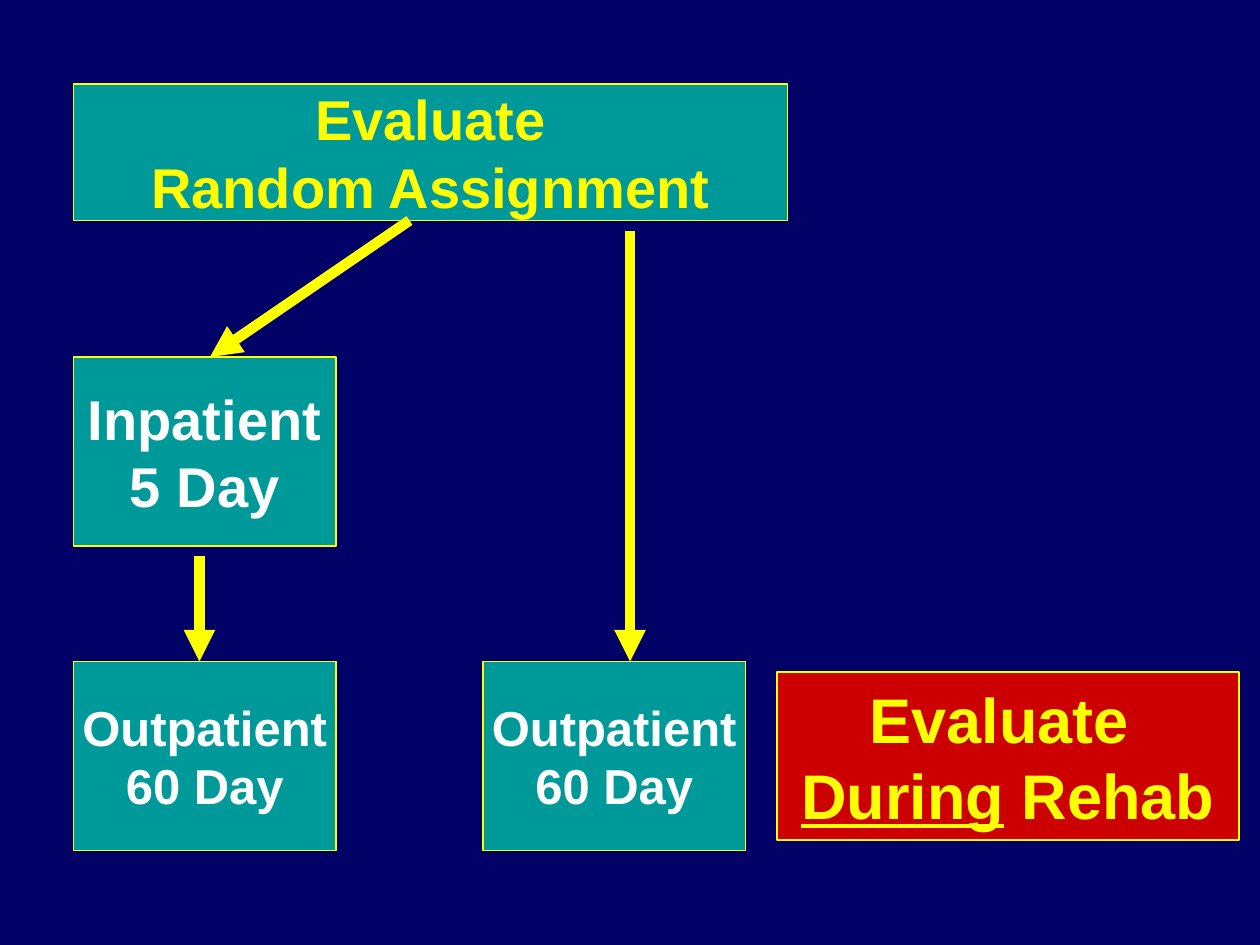
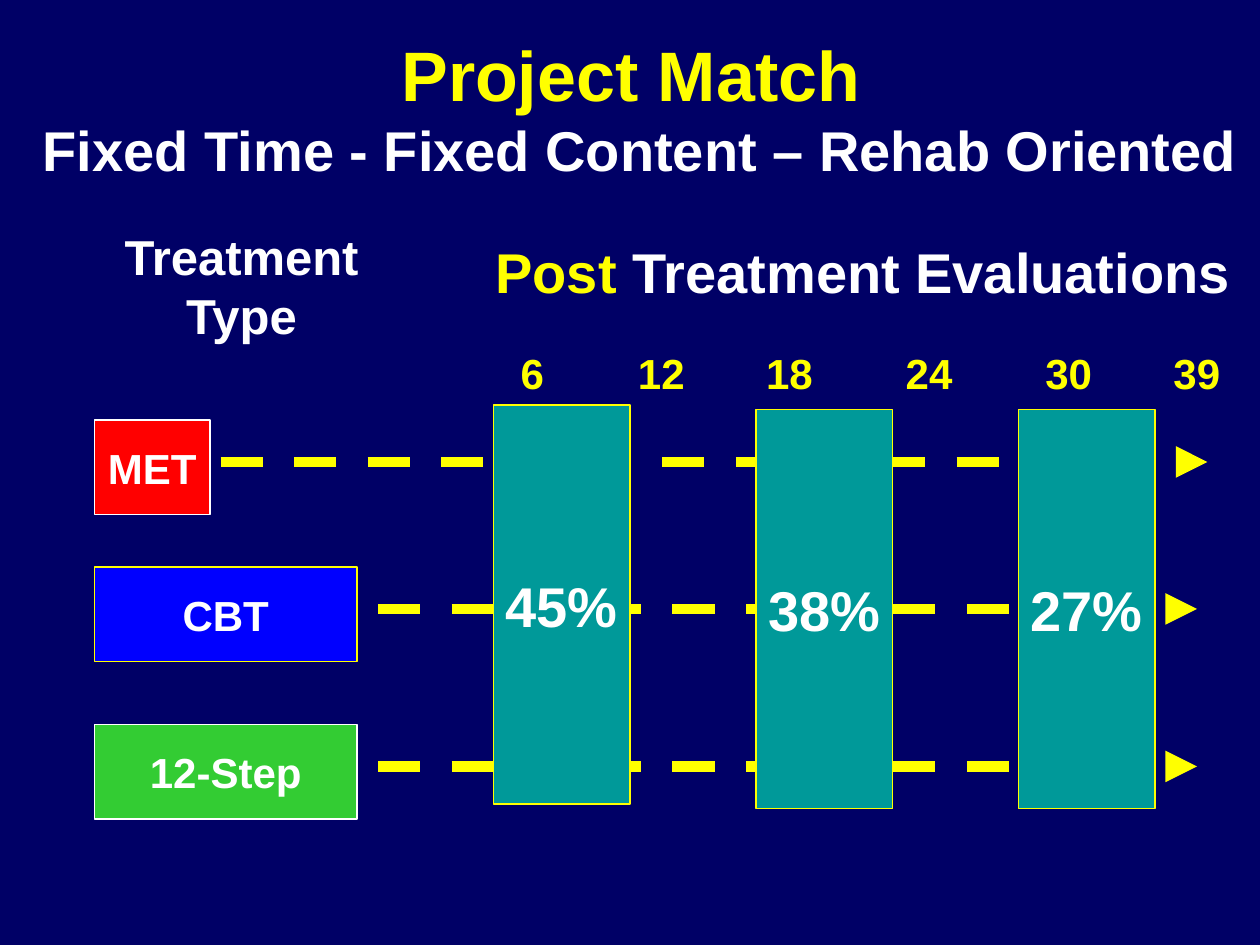
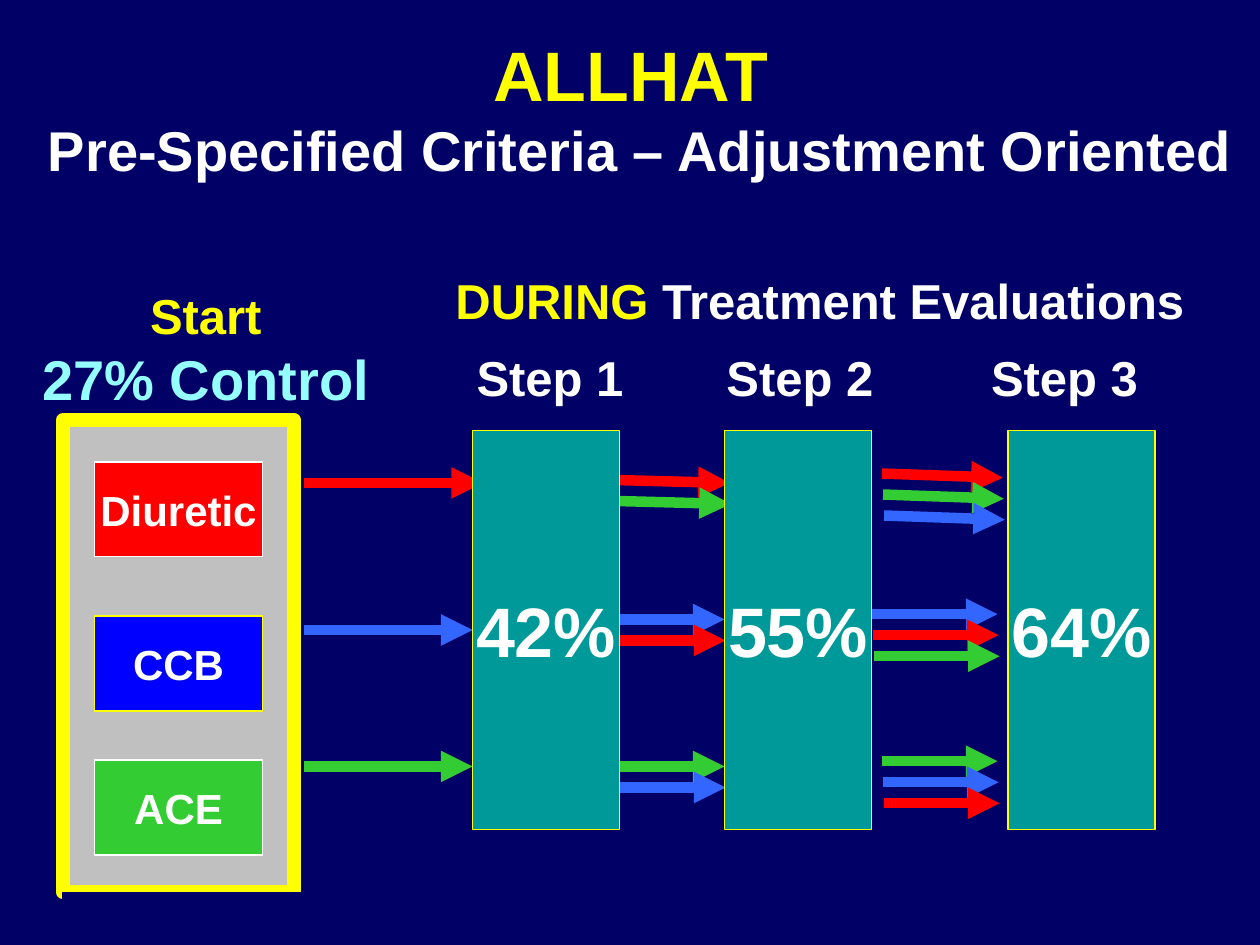
from dataclasses import dataclass

from lxml.etree import SubElement
from pptx import Presentation
from pptx.dml.color import RGBColor
from pptx.enum.dml import MSO_LINE
from pptx.enum.shapes import MSO_CONNECTOR, MSO_SHAPE
from pptx.enum.text import MSO_ANCHOR, MSO_AUTO_SIZE, PP_ALIGN
from pptx.oxml.ns import qn
from pptx.util import Inches, Pt

NAVY = RGBColor(0x00, 0x00, 0x66)
TEAL = RGBColor(0x00, 0x99, 0x99)
YELLOW = RGBColor(0xFF, 0xFF, 0x00)
WHITE = RGBColor(0xFF, 0xFF, 0xFF)
CRIMSON = RGBColor(0xCC, 0x00, 0x00)
RED = RGBColor(0xFF, 0x00, 0x00)
BLUE = RGBColor(0x00, 0x00, 0xFF)
SKY = RGBColor(0x33, 0x66, 0xFF)
GREEN = RGBColor(0x33, 0xCC, 0x33)
SILVER = RGBColor(0xC0, 0xC0, 0xC0)
CYAN = RGBColor(0x95, 0xFF, 0xFF)

FONT = "Arial"
COLS, ROWS = 120, 90  # the slide's grid
WIDTH, HEIGHT = Inches(10), Inches(7.5)
BLANK, TITLE_ONLY = 6, 5


def across(cols):
    return round(WIDTH * cols / COLS)


def down(rows):
    return round(HEIGHT * rows / ROWS)


@dataclass
class Box:
    """An area of the slide, in grid columns and rows."""
    left: float
    top: float
    width: float
    height: float

    def inner(self, left, top, width, height):
        return Box(self.left + left, self.top + top, width, height)

    def emu(self):
        return across(self.left), down(self.top), across(self.width), down(self.height)


@dataclass
class Words:
    text: str
    size: float
    color: RGBColor = WHITE
    underline: bool = False


# Shared parts

def write(frame, lines, align=PP_ALIGN.CENTER, tabs=()):
    for number, line in enumerate(lines):
        paragraph = frame.paragraphs[0] if number == 0 else frame.add_paragraph()
        paragraph.alignment = align
        if tabs:
            stops = SubElement(paragraph._p.get_or_add_pPr(), qn("a:tabLst"))
            for stop in tabs:
                SubElement(stops, qn("a:tab"), pos=str(across(stop)), algn="ctr")
        for words in line:
            run = paragraph.add_run()
            run.text = words.text
            font = run.font
            font.name, font.size, font.bold = FONT, Pt(words.size), True
            font.color.rgb = words.color
            font.underline = words.underline


def block(slide, box, fill, lines=(), border=YELLOW, weight=1):
    rect = slide.shapes.add_shape(MSO_SHAPE.RECTANGLE, *box.emu())
    rect.shadow.inherit = False
    rect.fill.solid()
    rect.fill.fore_color.rgb = fill
    rect.line.color.rgb = border
    rect.line.width = Pt(weight)
    rect.text_frame.word_wrap = False
    rect.text_frame.vertical_anchor = MSO_ANCHOR.MIDDLE
    write(rect.text_frame, lines)


def label(slide, box, lines, align=PP_ALIGN.LEFT, tabs=()):
    frame = slide.shapes.add_textbox(*box.emu()).text_frame
    frame.word_wrap = True
    write(frame, lines, align, tabs)


def arrow(slide, box, start, end, color=YELLOW, dashed=False):
    (x1, y1), (x2, y2) = start, end
    link = slide.shapes.add_connector(
        MSO_CONNECTOR.STRAIGHT,
        across(box.left + x1), down(box.top + y1),
        across(box.left + x2), down(box.top + y2))
    link.line.color.rgb = color
    link.line.width = Pt(6)
    if dashed:
        link.line.dash_style = MSO_LINE.DASH
    SubElement(link.line._get_or_add_ln(), qn("a:tailEnd"), type="triangle")
    SubElement(link._element.spPr, qn("a:effectLst"))


def headed_slide(deck, heading, subheading):
    slide = deck.slides.add_slide(deck.slide_layouts[TITLE_ONLY])
    title = slide.shapes.title
    title.left, title.top, title.width, title.height = Box(2, 2.4, 118, 15.6).emu()
    frame = title.text_frame
    frame.auto_size = MSO_AUTO_SIZE.NONE
    frame.word_wrap = True
    frame.vertical_anchor = MSO_ANCHOR.TOP
    write(frame, [[Words(heading, 40, YELLOW)], [Words(subheading, 32)]])
    return slide


# Slide 1: assignment flow

def assignment_flow(slide, box):
    block(slide, box.inner(0, 0, 68, 13), TEAL,
          [[Words("Evaluate", 32, YELLOW)], [Words("Random Assignment", 32, YELLOW)]])
    stages = [(0, 26, "Inpatient", "5 Day", 32),
              (0, 55, "Outpatient", "60 Day", 28),
              (39, 55, "Outpatient", "60 Day", 28)]
    for left, top, setting, length, size in stages:
        block(slide, box.inner(left, top, 25, 18), TEAL,
              [[Words(setting, size)], [Words(length, size)]])
    for start, end in [((32, 13), (13, 26)), ((53, 14), (53, 55)), ((12, 45), (12, 55))]:
        arrow(slide, box, start, end)


def rehab_evaluation(slide, box):
    block(slide, box, CRIMSON,
          [[Words("Evaluate ", 36, YELLOW)],
           [Words("During", 36, YELLOW, True), Words(" Rehab", 36, YELLOW)]])


# Slide 2: fixed treatments, followed up afterwards

def follow_up_headings(slide, box):
    label(slide, box.inner(0, 0, 34, 12.5), [[Words("Treatment Type", 28)]], PP_ALIGN.CENTER)
    label(slide, box.inner(40, 1, 77, 7.7),
          [[Words("Post", 32, YELLOW), Words(" Treatment Evaluations", 32)]])
    months = ["6", "12", "18", "24", "30", "39"]
    label(slide, box.inner(28, 11.5, 86, 6),
          [[Words("\t" + "\t".join(months), 24, YELLOW)]],
          tabs=[15.5, 27.8, 40, 53.3, 66.6, 78.8])


def follow_up_tracks(slide, box):
    # name, fill, border, top, block width, arrow start, arrow end
    treatments = [("MET", RED, WHITE, 0, 11, 12, 106),
                  ("CBT", BLUE, YELLOW, 14, 25, 27, 105),
                  ("12-Step", GREEN, WHITE, 29, 25, 27, 105)]
    for name, fill, border, top, width, start, end in treatments:
        block(slide, box.inner(0, top, width, 9), fill, [[Words(name, 24)]], border)
        arrow(slide, box, (start, top + 4), (end, top + 4), dashed=True)
    for left, top, share in [(38, -1.4, "45%"), (63, -1, "38%"), (88, -1, "27%")]:
        block(slide, box.inner(left, top, 13, 38), TEAL, [[Words(share, 32)]])


# Slide 3: treatments adjusted step by step

def step_headings(slide, box):
    label(slide, box.inner(0, 1.4, 34.8, 13.2),
          [[Words("Start", 28, YELLOW)], [Words("27% Control", 32, CYAN)]], PP_ALIGN.CENTER)
    label(slide, box.inner(40, 0, 72, 6.8),
          [[Words("DURING", 28, YELLOW), Words(" Treatment Evaluations", 28)]])
    label(slide, box.inner(29.8, 7.3, 86, 6.8),
          [[Words("\tStep 1\tStep 2\tStep 3", 28)]], tabs=[19.2, 43, 68.2])


def starting_drugs(slide, box):
    block(slide, box, SILVER, border=YELLOW, weight=8)
    # band that trims the panel's lower border
    block(slide, box.inner(0, box.height, 114, 5), NAVY, border=NAVY)
    drugs = [("Diuretic", RED, WHITE, 4), ("CCB", BLUE, YELLOW, 18.7),
             ("ACE", GREEN, WHITE, 32.4)]
    for name, fill, border, top in drugs:
        block(slide, box.inner(3, top, 16, 9), fill, [[Words(name, 24)]], border)


def step_columns(slide, box):
    # start, end, first row, drop along the arrow, colours from top to bottom
    bundles = [(0, 17, 5, 0, [RED]),
               (0, 16, 19, 0, [SKY]),
               (0, 16, 32, 0, [GREEN]),
               (29, 40.5, 4.7, 0.3, [RED, GREEN]),
               (28, 40, 18, 0, [SKY, RED]),
               (29, 40, 32, 0, [GREEN, SKY]),
               (55, 66.5, 4.1, 0.4, [RED, GREEN, SKY]),
               (54, 66, 17.5, 0, [SKY, RED, GREEN]),
               (55, 66, 31.5, 0, [GREEN, SKY, RED])]
    for start, end, top, drop, colors in bundles:
        for lane, color in enumerate(colors):
            shift, row = 0.1 * lane, top + 2 * lane
            arrow(slide, box, (start + shift, row), (end + shift, row + drop), color)
    for left, share in [(16, "42%"), (40, "55%"), (67, "64%")]:
        block(slide, box.inner(left, 0, 14, box.height), TEAL, [[Words(share, 40)]])


def main():
    deck = Presentation()
    deck.slide_width, deck.slide_height = WIDTH, HEIGHT
    background = deck.slide_master.background.fill
    background.solid()
    background.fore_color.rgb = NAVY

    design = deck.slides.add_slide(deck.slide_layouts[BLANK])
    assignment_flow(design, Box(7, 8, 68, 73))
    rehab_evaluation(design, Box(74, 64, 44, 16))

    match = headed_slide(deck, "Project Match ",
                         "Fixed Time - Fixed Content – Rehab Oriented")
    follow_up_headings(match, Box(6, 21, 114, 18))
    follow_up_tracks(match, Box(9, 40, 106, 38))

    allhat = headed_slide(deck, "ALLHAT ",
                          "Pre-Specified Criteria – Adjustment Oriented")
    starting_drugs(allhat, Box(6, 40, 22, 45))
    step_headings(allhat, Box(2.2, 25.2, 116, 15))
    step_columns(allhat, Box(29, 41, 81, 38))

    deck.save("out.pptx")


if __name__ == "__main__":
    main()
